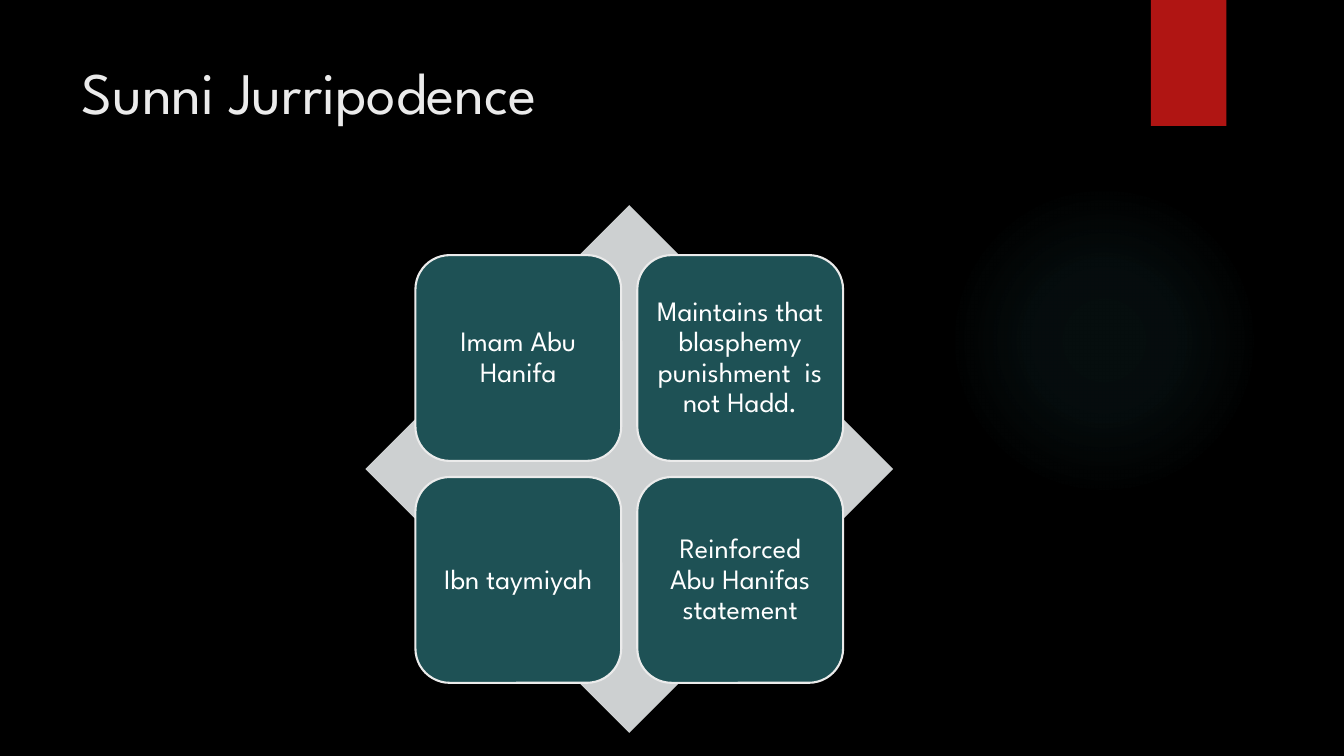
from pptx import Presentation
from pptx.dml.color import RGBColor
from pptx.enum.shapes import MSO_SHAPE
from pptx.enum.text import MSO_ANCHOR, PP_ALIGN
from pptx.oxml import parse_xml
from pptx.oxml.ns import nsdecls, qn
from pptx.util import Pt

DIAMOND = MSO_SHAPE.DIAMOND
ELLIPSE = MSO_SHAPE.OVAL
RECTANGLE = MSO_SHAPE.RECTANGLE
ROUNDED = MSO_SHAPE.ROUNDED_RECTANGLE
TOP, MIDDLE = MSO_ANCHOR.TOP, MSO_ANCHOR.MIDDLE
LEFT, CENTER = PP_ALIGN.LEFT, PP_ALIGN.CENTER
TITLE_ONLY = 5

TILE_TEXTS = [
    "Imam Abu Hanifa",
    "Maintains that blasphemy punishment  is not Hadd.",
    "Ibn taymiyah",
    "Reinforced Abu Hanifas statement",
]


def color(value):
    return RGBColor.from_string(value)


def apply(target, values):
    for name, value in values.items():
        setattr(target, name, value)


class SlideBuilder:
    """Holds the style and the current slide, and adds each kind of element."""

    font_name = "League Spartan"
    light = "EBEBEB"
    teal = "1E5155"

    def __init__(self, presentation):
        self.slide = presentation.slides.add_slide(presentation.slide_layouts[TITLE_ONLY])
        background = self.slide.background.fill
        background.solid()
        background.fore_color.rgb = color("000000")

    def set_text(self, shape, text, size, text_color, frame_format, paragraph_format):
        frame = shape.text_frame
        apply(frame, {"word_wrap": True, **frame_format})
        paragraph = frame.paragraphs[0]
        paragraph.text = text
        apply(paragraph, paragraph_format)
        apply(paragraph.font, {"name": self.font_name, "size": Pt(size)})
        paragraph.font.color.rgb = color(text_color)

    def title(self, text, left, top, width, height):
        title = self.slide.shapes.title
        apply(title, {"left": Pt(left), "top": Pt(top),
                      "width": Pt(width), "height": Pt(height)})
        self.set_text(title, text, 42, self.light,
                      {"vertical_anchor": TOP}, {"alignment": LEFT})

    def block(self, kind, left, top, width, height, fill, parent=None):
        shapes = (parent or self.slide).shapes
        shape = shapes.add_shape(kind, Pt(left), Pt(top), Pt(width), Pt(height))
        shape.shadow.inherit = False
        shape.fill.solid()
        shape.fill.fore_color.rgb = color(fill)
        shape.line.fill.background()
        return shape

    def glow(self, left, top, size, fill, stops):
        shape = self.block(ELLIPSE, left, top, size, size, fill)
        stop_list = "".join(
            f'<a:gs pos="{position * 1000}"><a:srgbClr val="{fill}">'
            f'<a:alpha val="{opacity * 1000}"/></a:srgbClr></a:gs>'
            for position, opacity in stops
        )
        gradient = parse_xml(
            f'<a:gradFill {nsdecls("a")} rotWithShape="1"><a:gsLst>{stop_list}</a:gsLst>'
            '<a:path path="circle"><a:fillToRect l="50000" t="50000" r="50000" b="50000"/>'
            '</a:path></a:gradFill>'
        )
        properties = shape._element.spPr
        properties.replace(properties.find(qn("a:solidFill")), gradient)

    def tile(self, text, left, top, size, parent):
        shape = self.block(ROUNDED, left, top, size, size, self.teal, parent)
        shape.line.color.rgb = color(self.light)
        shape.line.width = Pt(1.5)
        margins = {f"margin_{side}": Pt(6) for side in ("left", "top", "right", "bottom")}
        self.set_text(shape, text, 20, "FFFFFF", {"vertical_anchor": MIDDLE, **margins},
                      {"alignment": CENTER, "line_spacing": 0.9})

    def matrix(self, texts, left, top, size, tile_size, gap):
        group = self.slide.shapes.add_group_shape()
        self.block(DIAMOND, left, top, size, size, "CDD0D1", group)
        inset = (size - 2 * tile_size - gap) / 2
        pitch = tile_size + gap
        for index, text in enumerate(texts):
            row, column = divmod(index, 2)
            self.tile(text, left + inset + column * pitch, top + inset + row * pitch,
                      tile_size, group)


def main():
    presentation = Presentation()
    apply(presentation, {"slide_width": Pt(960), "slide_height": Pt(540)})
    builder = SlideBuilder(presentation)
    builder.glow(677.5, 132, 222, "50B9C1", [(0, 7), (36, 6), (69, 0)])
    builder.block(RECTANGLE, 822, 0, 54, 90, "B01513")
    builder.title("Sunni Jurripodence", 51, 36, 741, 110)
    builder.matrix(TILE_TEXTS, 261, 146.5, 377, 147, 11.5)
    presentation.save("out.pptx")


if __name__ == "__main__":
    main()
